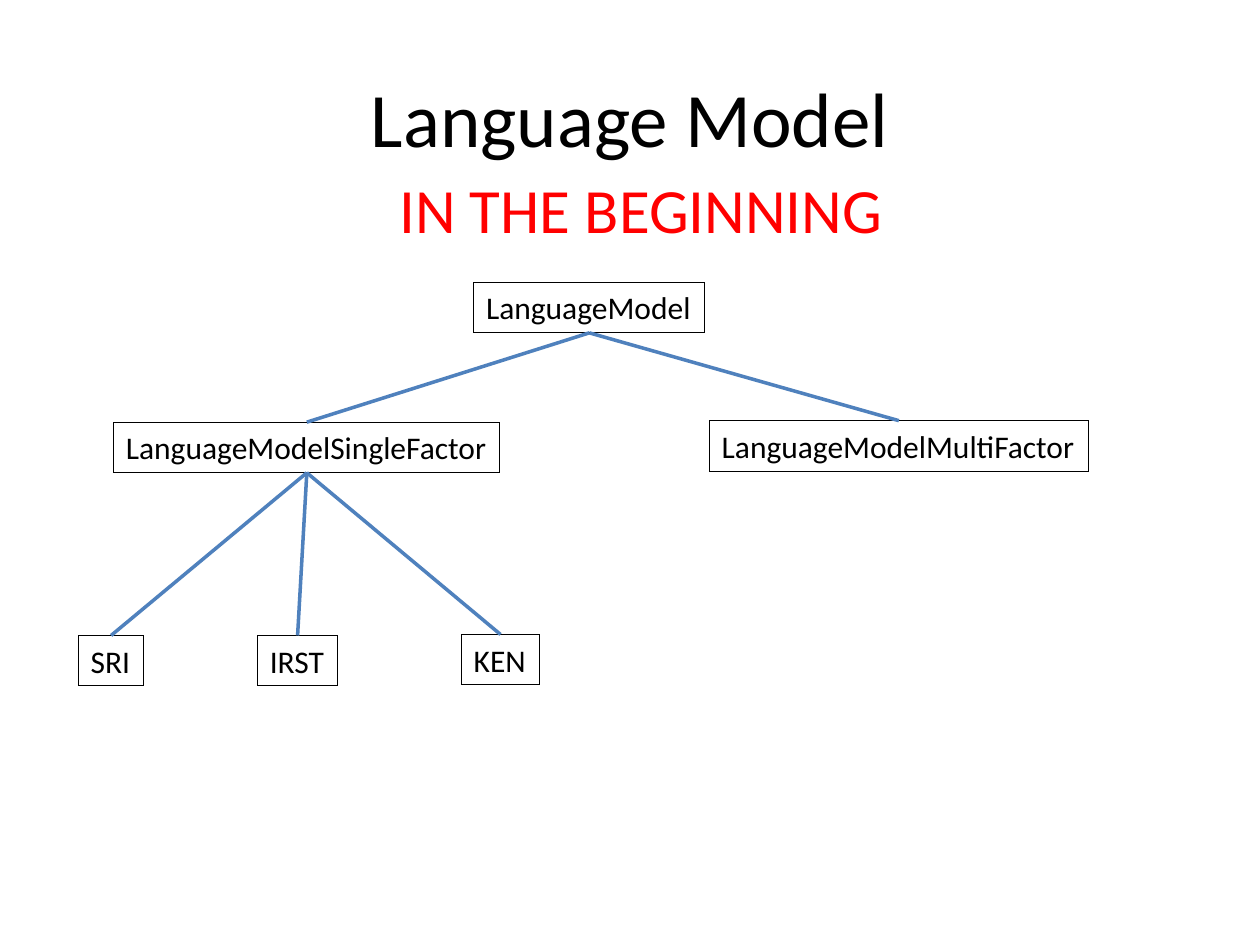
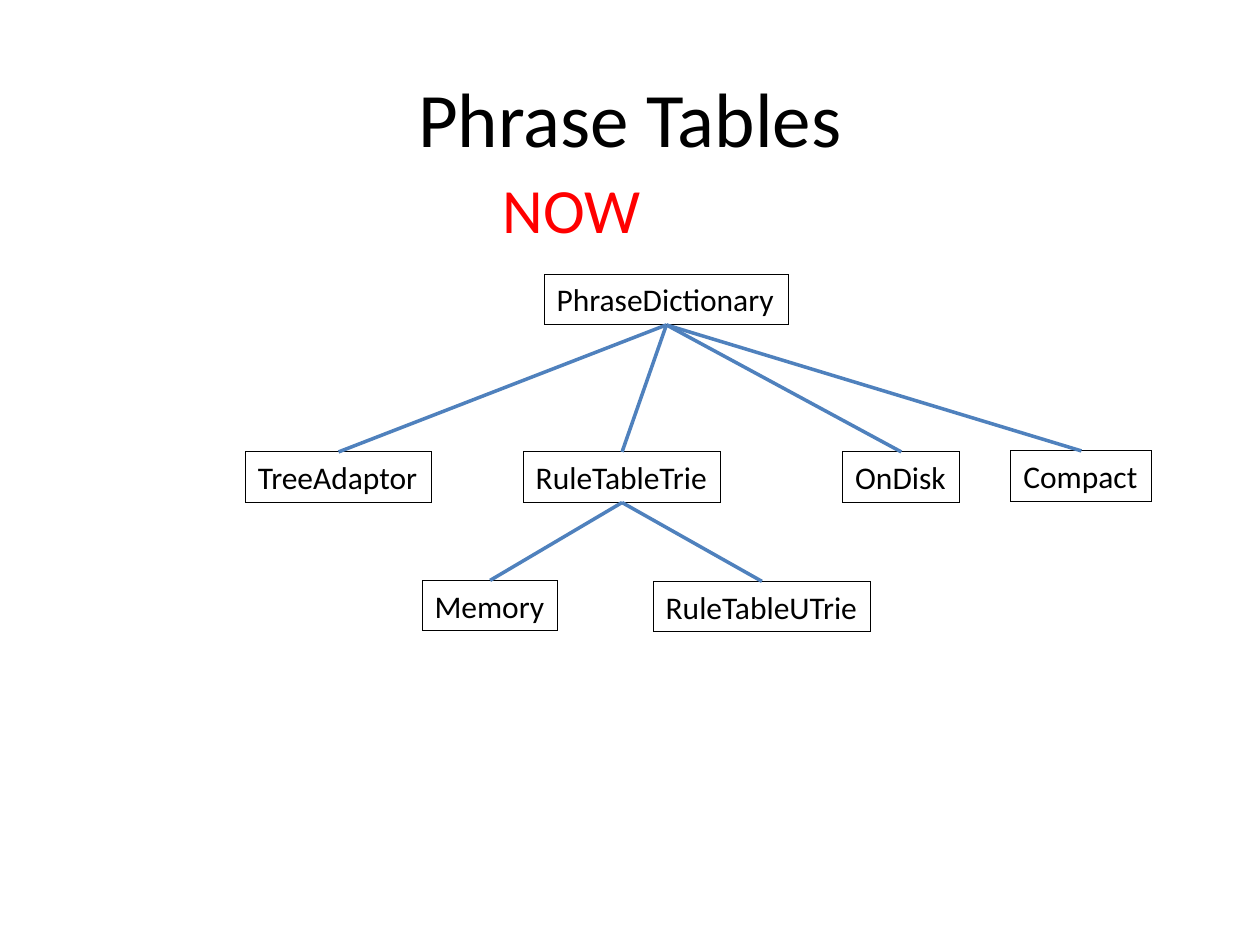
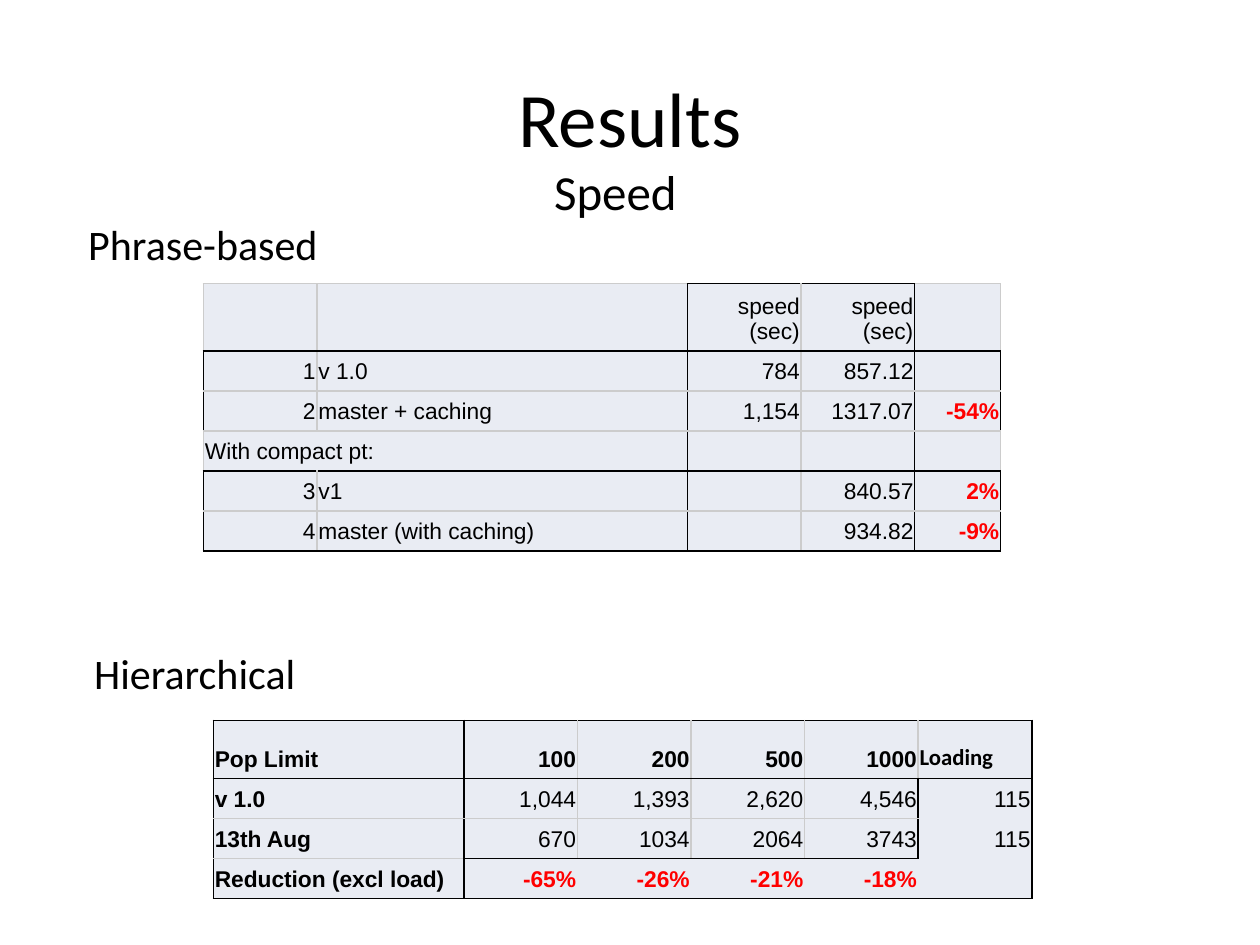
from dataclasses import dataclass

from lxml.etree import SubElement
from pptx import Presentation
from pptx.dml.color import RGBColor
from pptx.enum.shapes import MSO_CONNECTOR
from pptx.enum.text import MSO_ANCHOR, MSO_AUTO_SIZE, PP_ALIGN
from pptx.oxml.ns import qn
from pptx.util import Cm, Pt

BLACK = RGBColor(0x00, 0x00, 0x00)
RED = RGBColor(0xFF, 0x00, 0x00)
BLUE = RGBColor(0x4F, 0x81, 0xBD)
GREY = RGBColor(0xCC, 0xCC, 0xCC)
PALE = RGBColor(0xE9, 0xEC, 0xF3)

HEADING_FONT = "Calibri"
TABLE_FONT = "Arial"
TABLE_SIZE = Pt(13)
NODE_HEIGHT = 1.02
BORDER_WIDTH = Pt(0.96)
BORDER_COLOURS = {"K": BLACK, "G": GREY}


@dataclass
class Box:
    """A region of the page, in centimetres."""
    left: float
    top: float
    width: float
    height: float

    def lengths(self):
        return [Cm(n) for n in (self.left, self.top, self.width, self.height)]


TITLE_BOX = Box(1.27, 0.76, 22.86, 3.18)

# Class name: (left, top, width, parent), measured from the tree's corner.
LANGUAGE_TREE = {
    "LanguageModel": (7.97, 0, 4.66, None),
    "LanguageModelSingleFactor": (0.71, 2.82, 7.79, "LanguageModel"),
    "LanguageModelMultiFactor": (12.72, 2.79, 7.64, "LanguageModel"),
    "SRI": (0, 7.12, 1.32, "LanguageModelSingleFactor"),
    "IRST": (3.61, 7.12, 1.62, "LanguageModelSingleFactor"),
    "KEN": (7.72, 7.1, 1.58, "LanguageModelSingleFactor"),
}
PHRASE_TREE = {
    "PhraseDictionary": (6.02, 0, 4.93, None),
    "TreeAdaptor": (0, 3.58, 3.75, "PhraseDictionary"),
    "RuleTableTrie": (5.6, 3.58, 3.98, "PhraseDictionary"),
    "OnDisk": (12.04, 3.58, 2.36, "PhraseDictionary"),
    "Compact": (15.43, 3.56, 2.84, "PhraseDictionary"),
    "Memory": (3.56, 6.17, 2.74, "RuleTableTrie"),
    "RuleTableUTrie": (8.22, 6.19, 4.38, "RuleTableTrie"),
}

# Edges: K is black, G is grey, - is none. "across" has one string for each
# horizontal line, "down" has one string for each row.
PHRASE_SPEED = {
    "widths": [2.29, 7.47, 2.29, 2.29, 1.73],
    "rows": [
        ["", "", "speed (sec)", "speed (sec)", ""],
        ["1", "v 1.0", "784", "857.12", ""],
        ["2", "master + caching", "1,154", "1317.07", "-54%"],
        ["With compact pt:", "", "", "", ""],
        ["3", "v1", "", "840.57", "2%"],
        ["4", "master (with caching)", "", "934.82", "-9%"],
    ],
    "across": ["GGKKG", "KKKKK", "GGGGG", "GGGGG", "KKKKK", "GGGGG", "KKKKK"],
    "down": ["GGKGKG", "KGKGKK", "KGKGKK", "G-KGKG", "KGKGKK", "KGKGKK"],
    "merged": [((3, 0), (3, 1))],
    "bold_labels": False,
}
HIERARCHICAL_SPEED = {
    "widths": [5.05] + [2.29] * 5,
    "rows": [
        ["Pop Limit", "100", "200", "500", "1000", "Loading"],
        ["v 1.0", "1,044", "1,393", "2,620", "4,546", "115"],
        ["13th Aug", "670", "1034", "2064", "3743", "115"],
        ["Reduction (excl load)", "-65%", "-26%", "-21%", "-18%", ""],
    ],
    "across": ["KKKKKK", "KKKKKK", "GGGGG-", "GKKKK-", "KKKKKK"],
    "down": ["KKGGGGK", "KKGGGKK", "KKGGGKK", "KK----K"],
    "merged": [],
    "bold_labels": True,
}


def apply_format(target, values):
    for name, value in values.items():
        setattr(target, name, value)


def write_text(frame, text, size, colour=BLACK, font=HEADING_FONT,
               bold=False, align=PP_ALIGN.LEFT):
    para = frame.paragraphs[0]
    para.alignment = align
    span = para.add_run()
    span.text = text
    apply_format(span.font, {"name": font, "size": size, "bold": bold})
    span.font.color.rgb = colour


def add_title(page, text):
    frame = page.shapes.add_textbox(*TITLE_BOX.lengths()).text_frame
    apply_format(frame, {"word_wrap": True,
                         "vertical_anchor": MSO_ANCHOR.MIDDLE})
    write_text(frame, text, Pt(44), align=PP_ALIGN.CENTER)


def add_label(page, box, text, size, colour=BLACK):
    """Add one unwrapped line of text whose shape fits it."""
    label = page.shapes.add_textbox(*box.lengths())
    apply_format(label.text_frame, {
        "word_wrap": False, "auto_size": MSO_AUTO_SIZE.SHAPE_TO_FIT_TEXT})
    write_text(label.text_frame, text, size, colour)
    return label


def link(page, parent, child):
    line = page.shapes.add_connector(MSO_CONNECTOR.STRAIGHT, 0, 0, 0, 0)
    line.begin_connect(parent, 2)
    line.end_connect(child, 0)
    line.line.color.rgb = BLUE
    line.line.width = Pt(2)
    SubElement(line._element.spPr, qn("a:effectLst"))


def draw_tree(page, box, tree):
    nodes = {}
    for name, (left, top, width, parent) in tree.items():
        place = Box(box.left + left, box.top + top, width, NODE_HEIGHT)
        node = add_label(page, place, name, Pt(18))
        node.line.color.rgb = BLACK
        node.line.width = Pt(0)
        nodes[name] = node
        if parent:
            link(page, nodes[parent], node)


def set_borders(cell, edges):
    properties = cell._tc.get_or_add_tcPr()
    for side, edge in zip("LRTB", edges):
        line = SubElement(properties, qn(f"a:ln{side}"), w=str(BORDER_WIDTH))
        if edge in BORDER_COLOURS:
            fill = SubElement(line, qn("a:solidFill"))
            SubElement(fill, qn("a:srgbClr"), val=str(BORDER_COLOURS[edge]))
        else:
            SubElement(line, qn("a:noFill"))


def is_right_aligned(text):
    digits = text.strip("-%").replace(",", "").replace(".", "")
    return digits.isdigit() or text == "speed (sec)"


def fill_cell(cell, text, bold):
    apply_format(cell, {
        "margin_left": Cm(0.03), "margin_right": Cm(0.03),
        "vertical_anchor": MSO_ANCHOR.BOTTOM})
    cell.fill.solid()
    cell.fill.fore_color.rgb = PALE
    if not text:
        para = cell.text_frame.paragraphs[0]
        SubElement(para._p, qn("a:endParaRPr"), sz=str(int(TABLE_SIZE.pt * 100)))
        return
    change = text.endswith("%")
    write_text(cell.text_frame, text, TABLE_SIZE,
               colour=RED if change else BLACK,
               font=HEADING_FONT if text == "Loading" else TABLE_FONT,
               bold=bold or change,
               align=PP_ALIGN.RIGHT if is_right_aligned(text) else PP_ALIGN.LEFT)


def draw_table(page, box, content):
    rows, widths = content["rows"], content["widths"]
    across, down = content["across"], content["down"]
    table = page.shapes.add_table(len(rows), len(widths), *box.lengths()).table
    apply_format(table, {"first_row": False, "horz_banding": False})
    for column, width in zip(table.columns, widths):
        column.width = Cm(width)
    for r, texts in enumerate(rows):
        table.rows[r].height = Cm(0.61 if r else 1.17)
        for c, text in enumerate(texts):
            cell = table.cell(r, c)
            set_borders(cell, (down[r][c], down[r][c + 1],
                               across[r][c], across[r + 1][c]))
            fill_cell(cell, text, content["bold_labels"] and 0 in (r, c))
    for first, last in content["merged"]:
        table.cell(*first).merge(table.cell(*last))


def add_page(deck, title):
    page = deck.slides.add_slide(deck.slide_layouts[6])
    add_title(page, title)
    return page


def add_tree_page(deck, title, stage, stage_box, tree, tree_box):
    page = add_page(deck, title)
    add_label(page, stage_box, stage, Pt(36), RED)
    draw_tree(page, tree_box, tree)


def add_results_page(deck):
    page = add_page(deck, "Results")
    add_label(page, Box(10.92, 3.13, 3.05, 1.45), "Speed", Pt(28))
    add_label(page, Box(1.53, 4.28, 5.17, 1.27), "Phrase-based", Pt(24))
    draw_table(page, Box(4.1, 5.72, 16.07, 4.22), PHRASE_SPEED)
    add_label(page, Box(1.65, 12.93, 4.8, 1.27), "Hierarchical", Pt(24))
    draw_table(page, Box(4.3, 14.52, 16.5, 3), HIERARCHICAL_SPEED)


def main():
    deck = Presentation()
    apply_format(deck, {"slide_width": Cm(25.4), "slide_height": Cm(19.05)})
    add_tree_page(deck, "Language Model",
                  "IN THE BEGINNING", Box(7.8, 3.32, 10.32, 1.78),
                  LANGUAGE_TREE, Box(1.58, 5.69, 20.36, 8.14))
    add_tree_page(deck, "Phrase Tables",
                  "NOW", Box(9.88, 3.32, 3.32, 1.78),
                  PHRASE_TREE, Box(4.95, 5.53, 18.27, 7.21))
    add_results_page(deck)
    deck.save("out.pptx")


if __name__ == "__main__":
    main()
